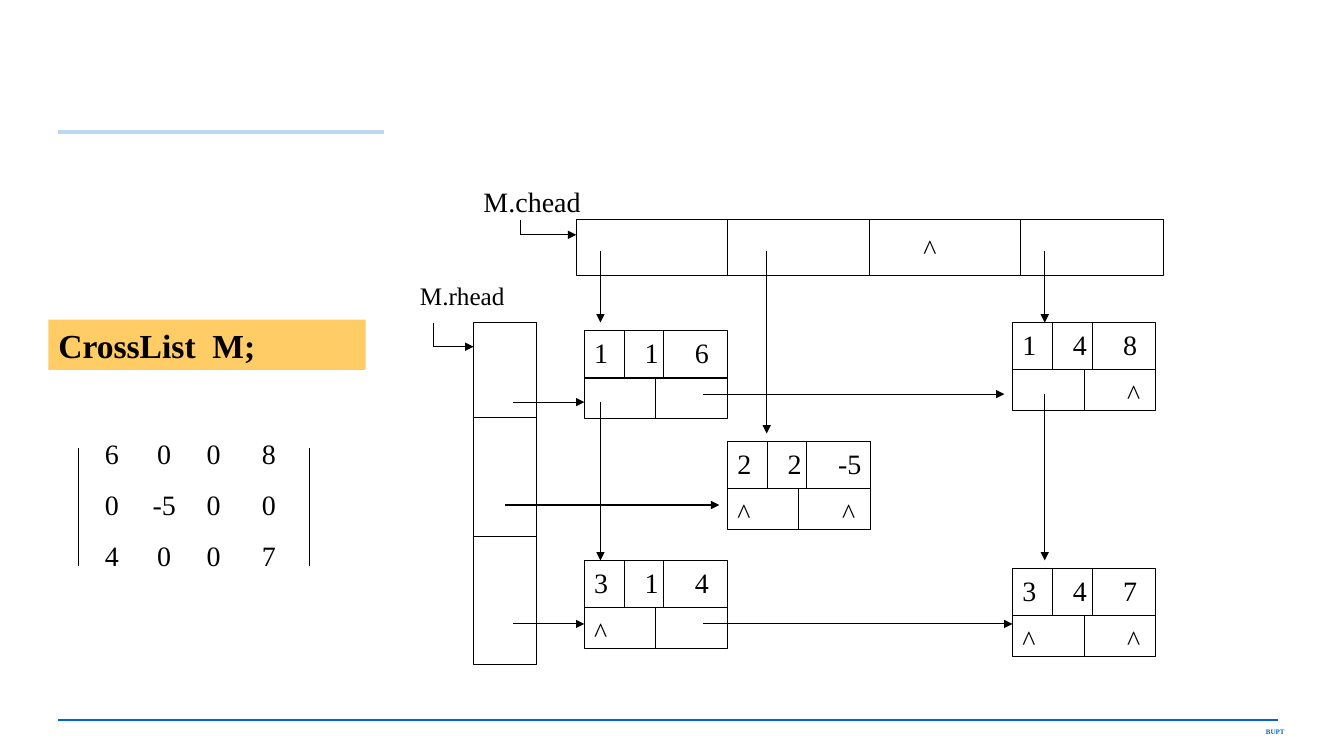
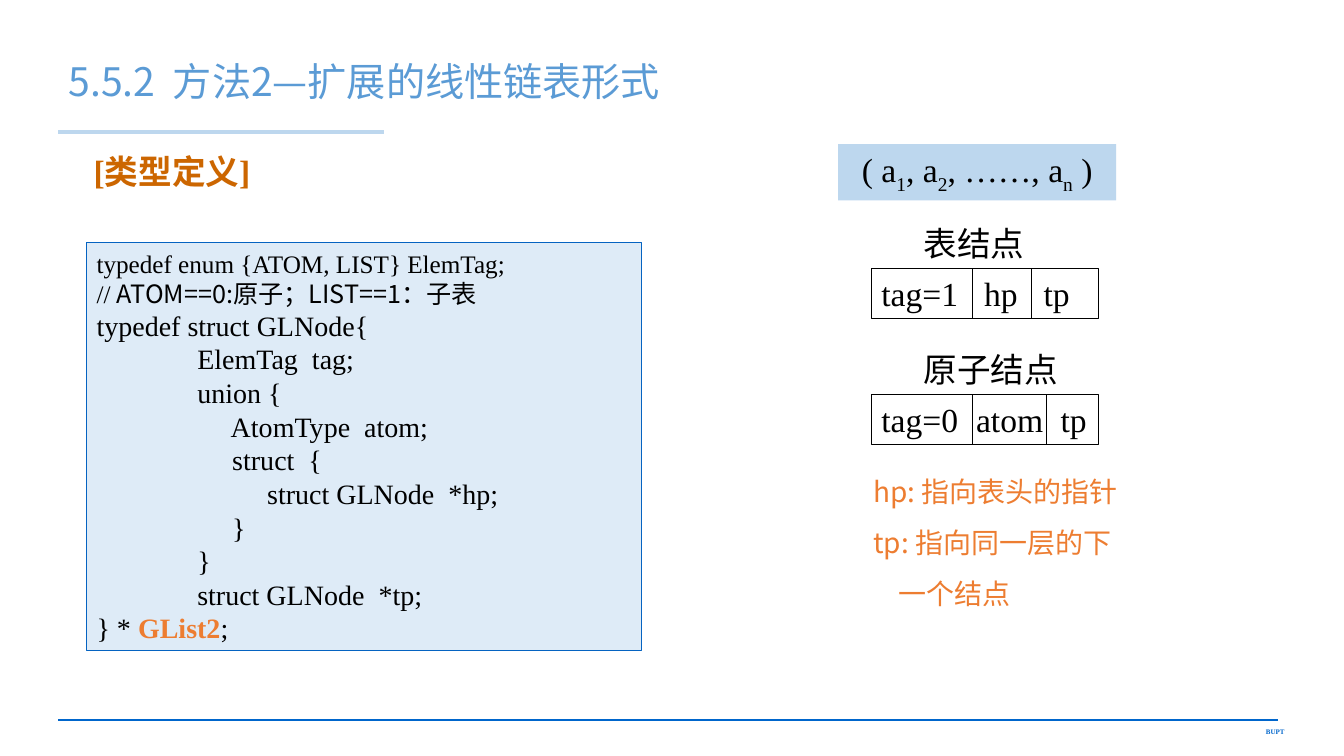
"""Builds two slides on cross lists and generalized lists."""
import lxml.etree
import pptx
import pptx.dml.color
import pptx.enum.shapes
import pptx.enum.text
import pptx.oxml.ns
import pptx.util

PX = 9144
TIMES, SANS = "Times New Roman", "Noto Sans CJK SC"
BLACK, BLUE, PALE, ORANGE = "000000", "0066CC", "BDD7EE", "ED7D31"
LEFT, CENTER, RIGHT = (pptx.enum.text.PP_ALIGN.LEFT, pptx.enum.text.PP_ALIGN.CENTER,
                       pptx.enum.text.PP_ALIGN.RIGHT)
rgb = pptx.dml.color.RGBColor.from_string
qn = pptx.oxml.ns.qn


def write(sp, text, size=20, color=BLACK, font=TIMES, bold=False, align=LEFT, before=0,
          spacing=None, left=0, base=0, same=False):
    """Add a paragraph to a shape, or a run to its last paragraph."""
    tf = sp.text_frame
    tf.word_wrap = True
    p = tf.paragraphs[-1]
    if not same:
        if p.runs:
            p = tf.add_paragraph()
            p.space_before = pptx.util.Pt(before)
        p.alignment = align
        p.line_spacing = spacing
        pPr = p._p.get_or_add_pPr()
        pPr.set("marL", str(left * PX))
        pPr.set("indent", "0")
        if sp.is_placeholder:
            lxml.etree.SubElement(pPr, qn("a:buNone"))
    r = p.add_run()
    r.text = text
    r.font.size = pptx.util.Pt(size)
    r.font.name = font
    r.font.bold = bold
    r.font.color.rgb = rgb(color)
    rPr = r._r.get_or_add_rPr()
    lxml.etree.SubElement(rPr, qn("a:ea"), typeface=SANS)
    if base:
        rPr.set("baseline", str(base * 1000))


def line(s, x1, y1, x2, y2, color=BLACK, width=0.75, arrow=False):
    """Draw a straight line, with an arrowhead at its end if asked."""
    c = s.shapes.add_connector(pptx.enum.shapes.MSO_CONNECTOR.STRAIGHT,
                               x1 * PX, y1 * PX, x2 * PX, y2 * PX)
    c.line.color.rgb = rgb(color)
    c.line.width = pptx.util.Pt(width)
    if arrow:
        lxml.etree.SubElement(c.line._get_or_add_ln(), qn("a:tailEnd"), type="triangle")
    lxml.etree.SubElement(c._element.spPr, qn("a:effectLst"))
    return c


prs = pptx.Presentation()
prs.slide_width, prs.slide_height = 1334 * PX, 750 * PX
cross = prs.slides.add_slide(prs.slide_layouts[6])
glist = prs.slides.add_slide(prs.slide_layouts[1])

footer = cross.shapes.add_textbox(1150 * PX, 717 * PX, 135 * PX, 19 * PX)
write(footer, "BUPT", size=5, color=BLUE, bold=True, align=RIGHT)
shared = [line(cross, 58, 714, 1269, 714, BLUE, 1.5), footer,
          line(cross, 58, 131, 381, 131, PALE, 3.5)]
for number, sp in enumerate(shared, 90):
    sp.element.xpath(".//p:cNvPr")[0].set("id", str(number))
    prs.slide_master.shapes.element.append(sp.element)

NODE_W, NODE_H, NODE_SPLIT = 142, 87, 47
CELLS = [(0, 0), (50, 0), (100, 0), (0, 49), (104, 49)]
nodes = [
    (580, 328, ("1", "1", "6", "", "")),
    (722, 438, ("2", "2", "-5", "^", "^")),
    (580, 556, ("3", "1", "4", "^", "")),
    (1005, 320, ("1", "4", "8", "", "^")),
    (1005, 564, ("3", "4", "7", "^", "^")),
]
rects = [
    ("rhead", cross, (470, 320, 63, 339), None, BLACK),
    ("chead", cross, (572, 218, 583, 55), None, BLACK),
    ("declaration", cross, (48, 317, 315, 50), "FFCC66", None),
    ("list node", glist, (865, 266, 225, 50), None, BLACK),
    ("atom node", glist, (865, 391, 225, 50), None, BLACK),
    ("formula", glist, (832, 143, 276, 56), PALE, None),
    ("code", glist, (86, 241, 551, 404), "DEEBF7", "0563C1"),
]
rects += [((x, y), cross, (x, y, NODE_W, NODE_H), None, BLACK) for x, y, _ in nodes]
shapes = {}
for name, s, at, fill, outline in rects:
    sp = s.shapes.add_shape(pptx.enum.shapes.MSO_SHAPE.RECTANGLE, *[v * PX for v in at])
    sp.shadow.inherit = False
    sp.text_frame.vertical_anchor = pptx.enum.text.MSO_ANCHOR.TOP
    if fill:
        sp.fill.solid()
        sp.fill.fore_color.rgb = rgb(fill)
    else:
        sp.fill.background()
    if outline:
        sp.line.color.rgb = rgb(outline)
        sp.line.width = pptx.util.Pt(0.75)
    else:
        sp.line.fill.background()
    shapes[name] = sp

write(shapes["declaration"], "CrossList  M;", size=24, bold=True)

for center, column in [(111, ("6", "0", "4")), (163, ("0", "-5", "0")),
                       (212, ("0", "0", "0")), (267, ("8", "0", "7"))]:
    sp = cross.shapes.add_textbox((center - 30) * PX, 428 * PX, 60 * PX, 145 * PX)
    for value in column:
        write(sp, value, align=CENTER, before=12.5)
for x in (78, 307):
    line(cross, x, 444, x, 562)

for x in (722, 1013):
    line(cross, x, 218, x, 273)
middle = line(cross, 864, 218, 864, 273)
middle.begin_connect(shapes["chead"], 0)
middle.end_connect(shapes["chead"], 2)
for y in (414, 532):
    line(cross, 470, y, 533, y)

labels = [
    (cross, (470, 178, 118, 44), "M.chead", 20, LEFT),
    (cross, (407, 273, 126, 40), "M.rhead", 18, LEFT),
    (cross, (872, 225, 102, 44), "^", 20, CENTER),
    (glist, (907, 216, 150, 50), "表结点", 24, LEFT),
    (glist, (907, 341, 208, 50), "原子结点", 24, LEFT),
]
for x, y, values in nodes:
    split = y + NODE_SPLIT
    line(cross, x, split, x + NODE_W, split)
    for dx in (40, 79):
        line(cross, x + dx, y, x + dx, split)
    half = line(cross, x + NODE_W // 2, split, x + NODE_W // 2, y + NODE_H)
    half.end_connect(shapes[x, y], 2)
    for (dx, dy), value in zip(CELLS, values):
        if value:
            labels.append((cross, (x + dx, y + dy, 60, 44), value, 20, LEFT))

for x1, y1, x2, y2 in [
    (596, 249, 596, 320), (596, 399, 596, 556), (761, 249, 761, 430),
    (1037, 249, 1037, 320), (1037, 391, 1037, 556),
    (509, 399, 580, 399), (698, 391, 997, 391), (501, 501, 714, 501),
    (509, 619, 580, 619), (698, 619, 1005, 619),
    (517, 233, 572, 233), (430, 344, 470, 344),
]:
    line(cross, x1, y1, x2, y2, arrow=True)
line(cross, 517, 218, 517, 233)
line(cross, 430, 320, 430, 344)

title, body = glist.placeholders
for sp, at in ((title, (58, 36, 1129, 94)), (body, (58, 149, 723, 476))):
    sp.left, sp.top, sp.width, sp.height = [v * PX for v in at]
write(title, "5.5.2  方法2—扩展的线性链表形式", size=28, color="5B9BD5", font=SANS, spacing=0.9)
write(body, "[类型定义]", size=24, color="CC6600", bold=True, spacing=0.9, left=25)

for y, fields, dividers in [
    (266, [(865, "tag=1"), (967, "hp"), (1026, "tp")], (965, 1024)),
    (391, [(865, "tag=0"), (959, "atom"), (1043, "tp")], (965, 1039)),
]:
    labels += [(glist, (x, y, 110, 50), text, 24, LEFT) for x, text in fields]
    for x in dividers:
        line(glist, x, y, x, y + 50)

for s, at, text, size, align in labels:
    sp = s.shapes.add_textbox(*[v * PX for v in at])
    write(sp, text, size=size, align=align)

write(shapes["formula"], "( a", size=24, align=CENTER)
for text, base in [("1", -25), (", a", 0), ("2", -25), (", ……, a", 0), ("n", -25), (" )", 0)]:
    write(shapes["formula"], text, size=24, base=base, same=True)

legend = glist.shapes.add_textbox(857 * PX, 466 * PX, 300 * PX, 145 * PX)
for text, left in [("hp: 指向表头的指针", 0), ("tp: 指向同一层的下", 0), ("一个结点", 25)]:
    write(legend, text, color=ORANGE, font=SANS, before=12.5, left=left)

code = shapes["code"]
write(code, "typedef enum {ATOM, LIST} ElemTag;", size=18)
write(code, "// ", size=18)
write(code, "ATOM==0:原子；LIST==1：子表", size=18, font=SANS, same=True)
write(code, "typedef struct GLNode{")
for text in [
    "ElemTag  tag;",
    "union {",
    "     AtomType  atom;",
    "     struct  {",
    "          struct GLNode  *hp;",
    "     }",
    "}",
    "struct GLNode  *tp;",
]:
    write(code, text, left=100)
write(code, "} * ")
write(code, "GList2", color=ORANGE, bold=True, same=True)
write(code, ";", same=True)

prs.save("out.pptx")
